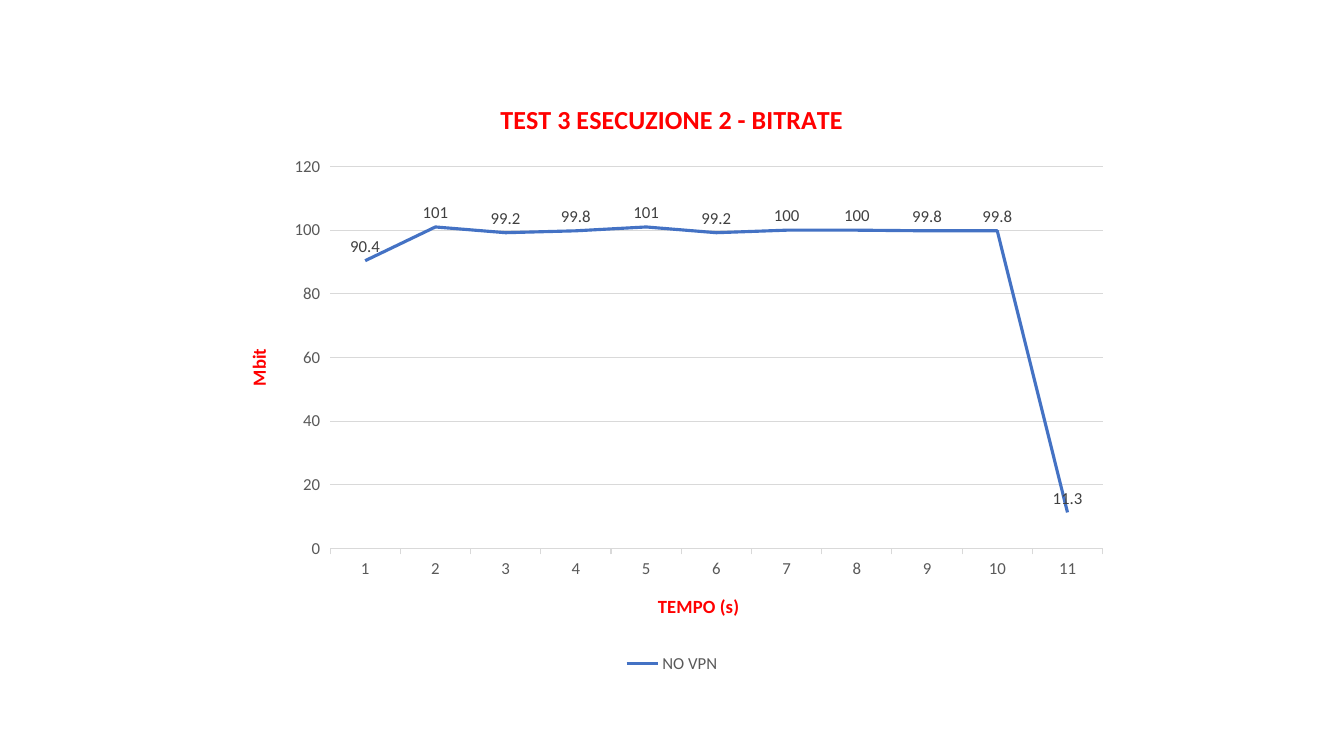
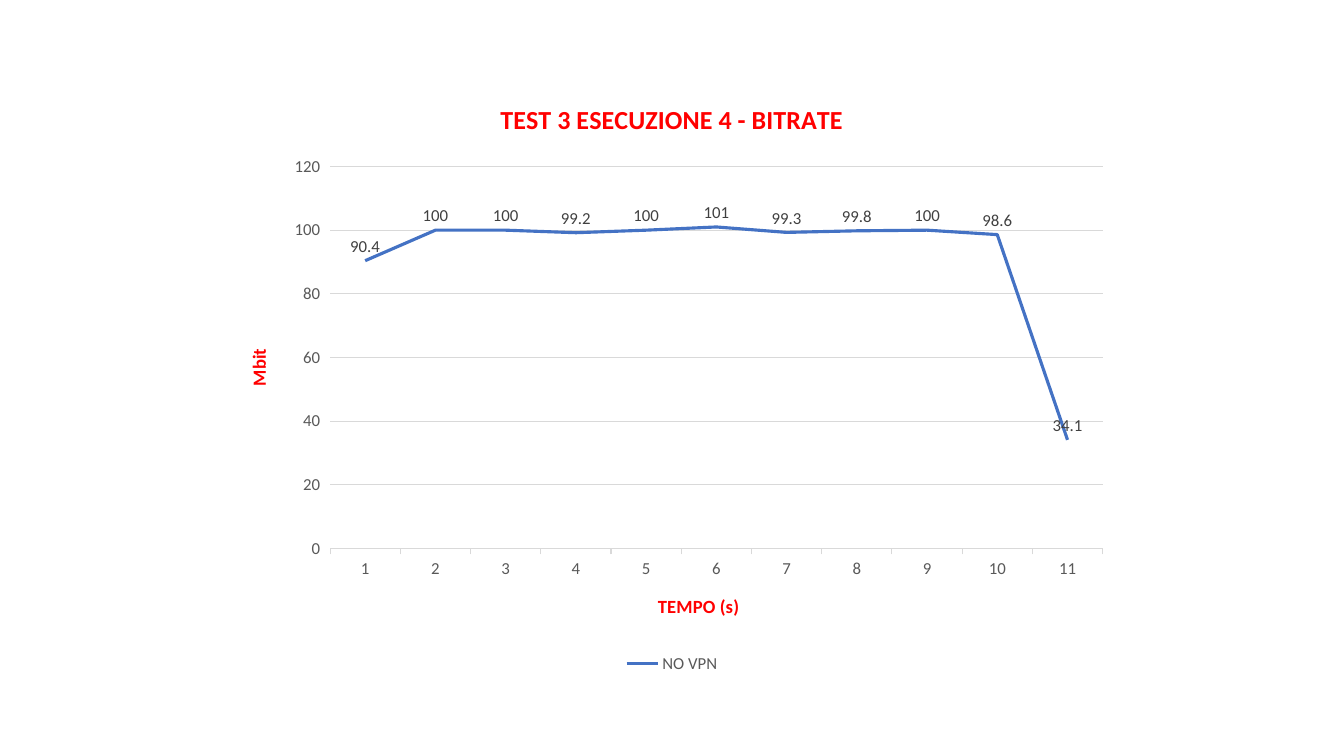
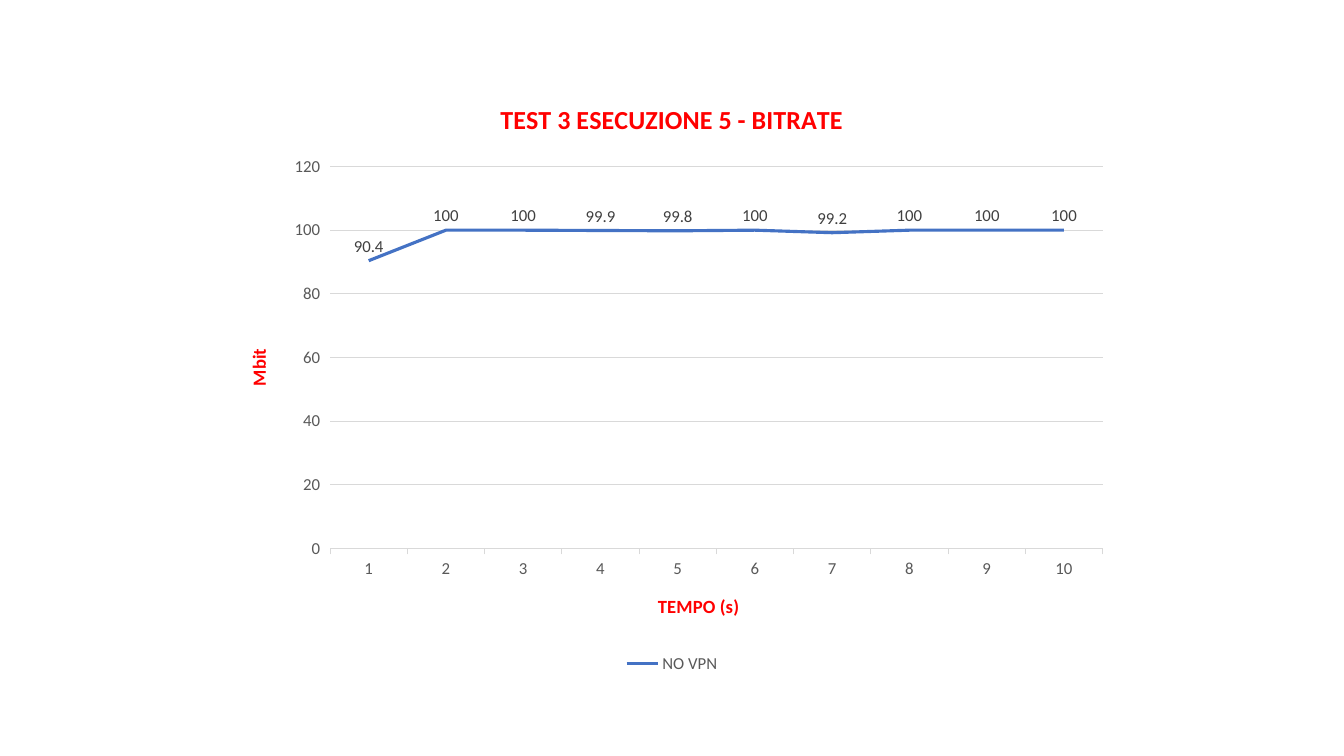
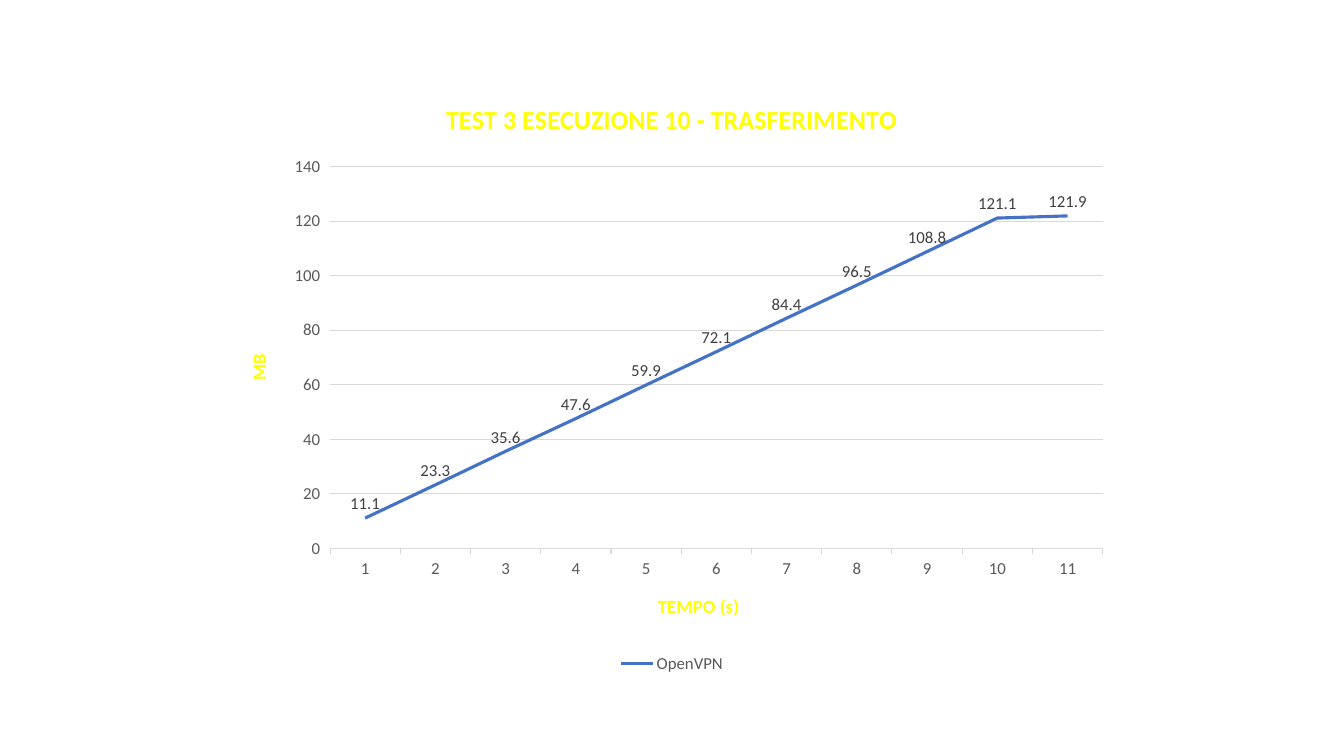
from lxml import etree
from pptx import Presentation
from pptx.chart.data import CategoryChartData
from pptx.dml.color import RGBColor
from pptx.enum.chart import XL_CHART_TYPE, XL_LABEL_POSITION, XL_LEGEND_POSITION, XL_TICK_MARK
from pptx.oxml.ns import qn
from pptx.util import Inches, Pt

LINE_CHART = XL_CHART_TYPE.LINE
LABEL_ABOVE = XL_LABEL_POSITION.ABOVE
LEGEND_BOTTOM = XL_LEGEND_POSITION.BOTTOM
TICK_OUTSIDE = XL_TICK_MARK.OUTSIDE
TICK_NONE = XL_TICK_MARK.NONE

RED = "FF0000"
YELLOW = "FFFF00"

# Title, title colour, unit, series name, one value per second
TESTS = [
    ("TEST 3 ESECUZIONE 2 - BITRATE", RED, "Mbit", "NO VPN",
     [90.4, 101, 99.2, 99.8, 101, 99.2, 100, 100, 99.8, 99.8, 11.3]),
    ("TEST 3 ESECUZIONE 4 - BITRATE", RED, "Mbit", "NO VPN",
     [90.4, 100, 100, 99.2, 100, 101, 99.3, 99.8, 100, 98.6, 34.1]),
    ("TEST 3 ESECUZIONE 5 - BITRATE", RED, "Mbit", "NO VPN",
     [90.4, 100, 100, 99.9, 99.8, 100, 99.2, 100, 100, 100]),
    ("TEST 3 ESECUZIONE 10 - TRASFERIMENTO", YELLOW, "MB", "OpenVPN",
     [11.1, 23.3, 35.6, 47.6, 59.9, 72.1, 84.4, 96.5, 108.8, 121.1, 121.9]),
]


def color(hex_string):
    return RGBColor.from_string(hex_string)


class Deck:
    FONT = "Calibri"
    TEXT = "595959"
    LABEL = "404040"
    GRID = "D9D9D9"
    SERIES = "4472C4"
    CHART_AREA = [Inches(n) for n in (2.22, 0.79, 8.89, 5.93)]
    # Inner plot area as fractions of the chart
    PLOT_AREA = {"x": 0.1185, "y": 0.1454, "w": 0.862, "h": 0.639}

    def __init__(self):
        self.prs = Presentation()
        self.prs.slide_width = Inches(13.33)
        self.prs.slide_height = Inches(7.5)
        self.slide = None

    def add_slide(self):
        self.slide = self.prs.slides.add_slide(self.prs.slide_layouts[6])

    def font(self, font, size, hex_string, bold=False):
        font.name = self.FONT
        font.size = Pt(size)
        font.bold = bold
        font.color.rgb = color(hex_string)

    def line(self, line, hex_string, width):
        line.color.rgb = color(hex_string)
        line.width = Pt(width)

    def title(self, title, text, size, hex_string):
        title.text_frame.text = text
        self.font(title.text_frame.paragraphs[0].runs[0].font, size, hex_string, True)

    def axis(self, axis, text, hex_string):
        self.title(axis.axis_title, text, 13.3, hex_string)
        self.font(axis.tick_labels.font, 12, self.TEXT)
        axis.major_tick_mark = TICK_OUTSIDE
        axis.minor_tick_mark = TICK_NONE

    def place_plot(self, chart):
        plot_area = chart._chartSpace.find(".//" + qn("c:plotArea"))
        for old in plot_area.findall(qn("c:layout")):
            plot_area.remove(old)
        layout = etree.Element(qn("c:layout"))
        manual = etree.SubElement(layout, qn("c:manualLayout"))
        settings = {"layoutTarget": "inner", "xMode": "edge", "yMode": "edge", **self.PLOT_AREA}
        for tag, value in settings.items():
            etree.SubElement(manual, qn("c:" + tag)).set("val", str(value))
        plot_area.insert(0, layout)

    def line_chart(self, title, accent, unit, name, values):
        data = CategoryChartData()
        data.categories = [str(second) for second in range(1, len(values) + 1)]
        data.add_series(name, values)
        chart = self.slide.shapes.add_chart(LINE_CHART, *self.CHART_AREA, data).chart
        self.font(chart.font, 10, "000000")
        self.title(chart.chart_title, title, 18.6, accent)
        self.place_plot(chart)

        # Axes
        time_axis, value_axis = chart.category_axis, chart.value_axis
        self.axis(time_axis, "TEMPO (s)", accent)
        self.line(time_axis.format.line, self.GRID, 0.75)
        self.axis(value_axis, unit, accent)
        value_axis.minimum_scale = 0
        value_axis.format.line.fill.background()
        self.line(value_axis.major_gridlines.format.line, self.GRID, 0.75)
        rotated = value_axis.axis_title._element.find(".//" + qn("a:bodyPr"))
        rotated.set("rot", "-5400000")
        rotated.set("vert", "horz")

        # Legend
        chart.has_legend = True
        chart.legend.position = LEGEND_BOTTOM
        chart.legend.include_in_layout = False
        self.font(chart.legend.font, 12, self.TEXT)

        # Series and its labels
        chart.plots[0].vary_by_categories = False
        series = chart.plots[0].series[0]
        series.smooth = False
        self.line(series.format.line, self.SERIES, 2.25)
        labels = series.data_labels
        labels.show_value = True
        labels.position = LABEL_ABOVE
        self.font(labels.font, 12, self.LABEL)


def main():
    deck = Deck()
    for test in TESTS:
        deck.add_slide()
        deck.line_chart(*test)
    deck.prs.save("out.pptx")


if __name__ == "__main__":
    main()
